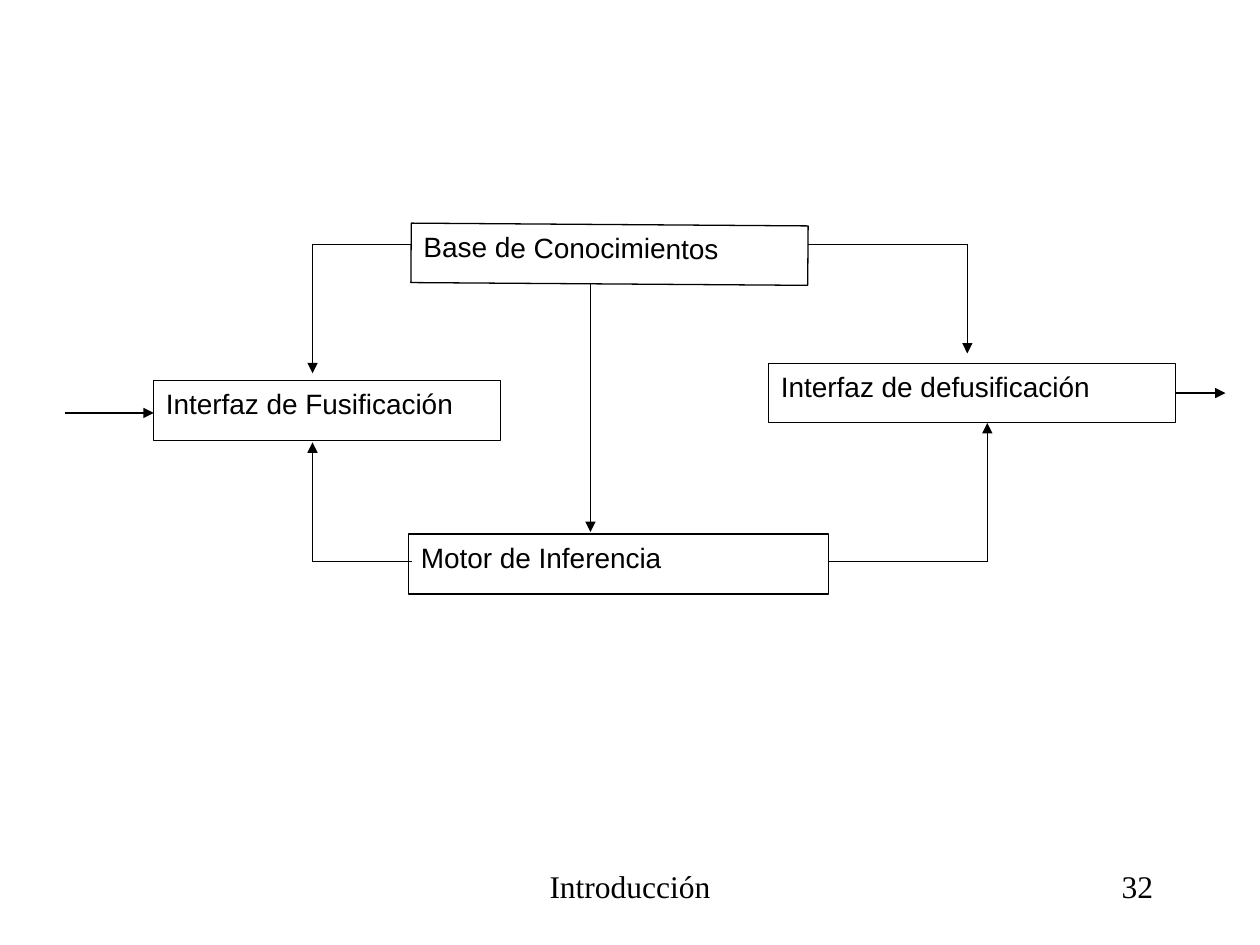
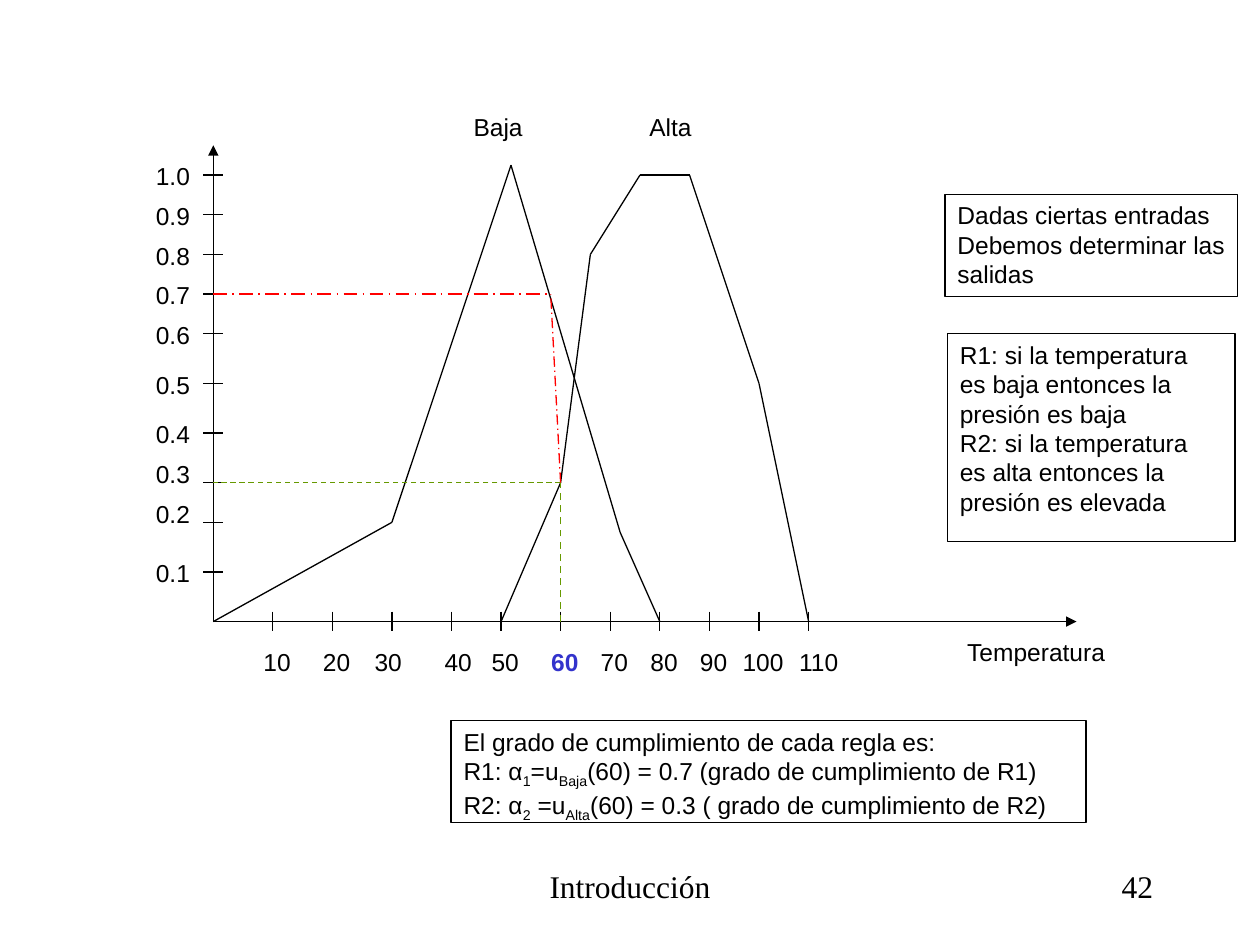
from lxml import etree
from pptx import Presentation
from pptx import util as u
from pptx.dml.color import RGBColor
from pptx.enum import dml, shapes, text
from pptx.oxml.ns import qn

BLACK, WHITE, BLUE = "000000", "FFFFFF", "3333CC"
GREEN, RED = "669900", "FF0000"
SANS, SERIF = "Arial", "Times New Roman"
LINE = 0.75
ORIGIN_X, ORIGIN_Y, STEP = 121.9, 355.2, 5.67
LEFT, CENTER, RIGHT = text.PP_ALIGN.LEFT, text.PP_ALIGN.CENTER, text.PP_ALIGN.RIGHT
DASH = dml.MSO_LINE.DASH
DASH_DOT = dml.MSO_LINE.LONG_DASH_DOT

X_TICKS = [("10", 6, 12.5), ("20", 12, 12.5), ("30", 18, 17), ("40", 24, 11),
           ("50", 29, 12.5), ("60", 35, 12.5), ("70", 40, 12.5), ("80", 45, 12.5),
           ("90", 50, 12.5), ("100", 55, 16.5), ("110", 60, 12.5)]
Y_TICKS = [("0.1", 5, 0), ("0.2", 10, 1), ("0.3", 14, 1), ("0.4", 19, 0), ("0.5", 24, 0),
           ("0.6", 29, 0), ("0.7", 33, 0), ("0.8", 37, 0), ("0.9", 41, 0), ("1.0", 45, 0)]
LOW = [(0, 0), (18, 10), (30, 46), (41, 9), (45, 0)]
HIGH = [(29, 0), (35, 14), (38, 37), (43, 45), (48, 45), (55, 24), (60, 0)]


def rgb(color):
    return RGBColor.from_string(color)


def style_run(r, size, font=SANS, color=BLACK, bold=False):
    r.font.size = u.Pt(size)
    r.font.name = font
    r.font.bold = bold
    r.font.color.rgb = rgb(color)


def write(sp, content, size, align=LEFT, wrap=True, **style):
    tf = sp.text_frame
    tf.text = content
    tf.word_wrap = wrap
    tf.vertical_anchor = text.MSO_ANCHOR.TOP
    for p in tf.paragraphs:
        p.alignment = align
        for r in p.runs:
            style_run(r, size, **style)


def label(s, content, box, size=14, **style):
    sp = s.shapes.add_textbox(*map(u.Pt, box))
    write(sp, content, size, **style)


def frame(s, box, fill=WHITE):
    sp = s.shapes.add_shape(shapes.MSO_SHAPE.RECTANGLE, *map(u.Pt, box))
    sp.shadow.inherit = False
    if fill:
        sp.fill.solid()
        sp.fill.fore_color.rgb = rgb(fill)
    else:
        sp.fill.background()
    sp.line.color.rgb = rgb(BLACK)
    sp.line.width = u.Pt(LINE)
    return sp


def line(s, start, end, arrow=False, color=BLACK, dash=None, width=LINE):
    cx = s.shapes.add_connector(shapes.MSO_CONNECTOR.STRAIGHT, *map(u.Pt, (*start, *end)))
    cx.line.color.rgb = rgb(color)
    cx.line.width = u.Pt(width)
    if dash:
        cx.line.dash_style = dash
    if arrow:
        etree.SubElement(cx.line._get_or_add_ln(), qn("a:tailEnd")).set("type", "triangle")
    etree.SubElement(cx._element.spPr, qn("a:effectLst"))


def route(s, points, arrow=False, **style):
    last = len(points) - 2
    for i, (start, end) in enumerate(zip(points, points[1:])):
        line(s, start, end, arrow=arrow and i == last, **style)


def grid(x, y):
    return ORIGIN_X + x * STEP, ORIGIN_Y - y * STEP


def curve(s, points, **style):
    route(s, [grid(*pt) for pt in points], **style)


def formula(p, parts):
    for i, part in enumerate(parts):
        r = p.add_run()
        r.text = part
        style_run(r, 14)
        if i % 2:
            r._r.get_or_add_rPr().set("baseline", "-25000")


def new_slide(prs, number):
    s = prs.slides.add_slide(prs.slide_layouts[6])
    label(s, "Introducción", (246, 492, 228, 36), 18, align=CENTER, font=SERIF)
    label(s, number, (516, 492, 150, 36), 18, align=RIGHT, font=SERIF)
    return s


def architecture_slide(prs):
    s = new_slide(prs, "32")
    blocks = [("Base de Conocimientos", (234.9, 128.3, 226.8, 34), 0.4),
              ("Interfaz de Fusificación", (87.7, 217.4, 198.5, 34.3), 0),
              ("Interfaz de defusificación", (439.2, 207.6, 232.6, 33.8), 0),
              ("Motor de Inferencia", (233.4, 305.2, 240, 34.3), 0)]
    for content, box, turn in blocks:
        sp = frame(s, box)
        sp.rotation = turn
        write(sp, content, 16)
    routes = [[(235.2, 139.7), (178.6, 139.7), (178.6, 213.3)],
              [(337.4, 162.2), (337.4, 304)],
              [(235.2, 321), (178.6, 321), (178.6, 252.8)],
              [(462, 139.7), (552.8, 139.7), (552.8, 202)],
              [(473.4, 321), (564.2, 321), (564.2, 241.7)],
              [(36.9, 236), (87.9, 236)],
              [(671.8, 224.6), (700.3, 224.6)]]
    for points in routes:
        route(s, points, arrow=True)


def axes(s):
    curve(s, [(0, 0), (0, 48)], arrow=True)
    curve(s, [(0, 0), (87, 0)], arrow=True)
    for content, n, raised in Y_TICKS:
        curve(s, [(-1, n), (1, n)])
        top = grid(0, n + raised)[1] - 11.4
        label(s, content, (82, top, 36, 24), wrap=False)
    for content, n, offset in X_TICKS:
        curve(s, [(n, 1), (n, -1)])
        chosen = content == "60"
        width = 42 if len(content) == 3 else 32
        label(s, content, (grid(n, 0)[0] - offset, 366.2, width, 24),
              color=BLUE if chosen else BLACK, bold=chosen)


def membership_slide(prs):
    s = new_slide(prs, "42")
    axes(s)
    curve(s, LOW)
    curve(s, HIGH)
    label(s, "Baja", (263.5, 60.5, 42.5, 24))
    label(s, "Alta", (364, 60.5, 65, 24))
    label(s, "Temperatura", (545.6, 360.7, 98, 24))
    curve(s, [(35, 0), (35, 14)], color=GREEN, dash=DASH, width=1)
    curve(s, [(35, 14), (0, 14)], color=GREEN, dash=DASH)
    curve(s, [(35, 14), (34, 33)], color=RED, dash=DASH_DOT)
    curve(s, [(0, 33), (34, 33)], color=RED, dash=DASH_DOT, width=1)

    goal = frame(s, (540, 111, 167, 58.3), None)
    write(goal, "Dadas ciertas entradas\nDebemos determinar las\nsalidas", 14, wrap=False)

    degree = frame(s, (257.8, 411.8, 362.9, 58.3), None)
    write(degree, "El grado de cumplimiento de cada regla es:", 14)
    for parts in (["R1: α", "1", "=u", "Baja", "(60) = 0.7 (grado de cumplimiento de R1)"],
                  ["R2: α", "2", " =u", "Alta", "(60) = 0.3 ( grado de cumplimiento de R2)"]):
        p = degree.text_frame.add_paragraph()
        p.alignment = LEFT
        formula(p, parts)

    frame(s, (541.4, 190.6, 164.4, 119))
    label(s, "R1: si la temperatura es baja entonces la presión es baja\n"
             "R2: si la temperatura es alta entonces la presión es elevada",
          (541.4, 190.6, 154.8, 108))


def main():
    prs = Presentation()
    prs.slide_width, prs.slide_height = u.Pt(720), u.Pt(540)
    architecture_slide(prs)
    membership_slide(prs)
    prs.save("out.pptx")


main()
